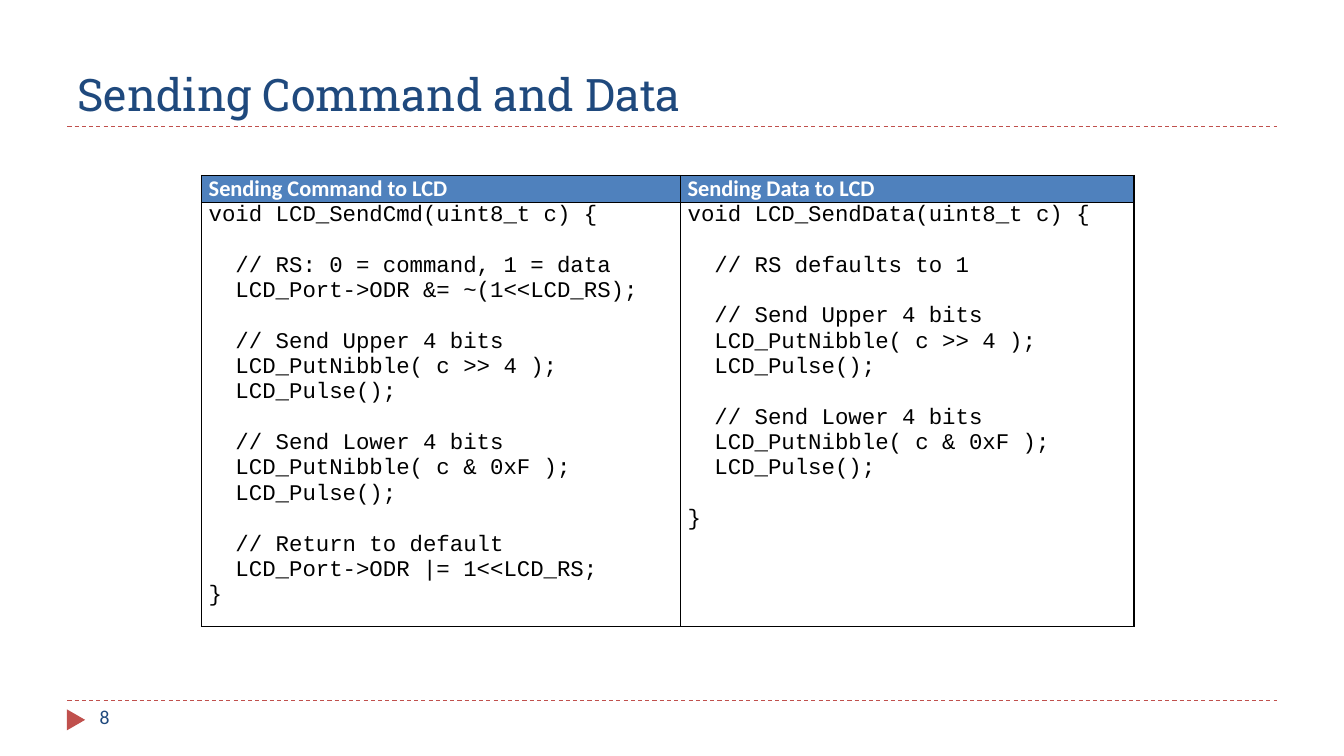
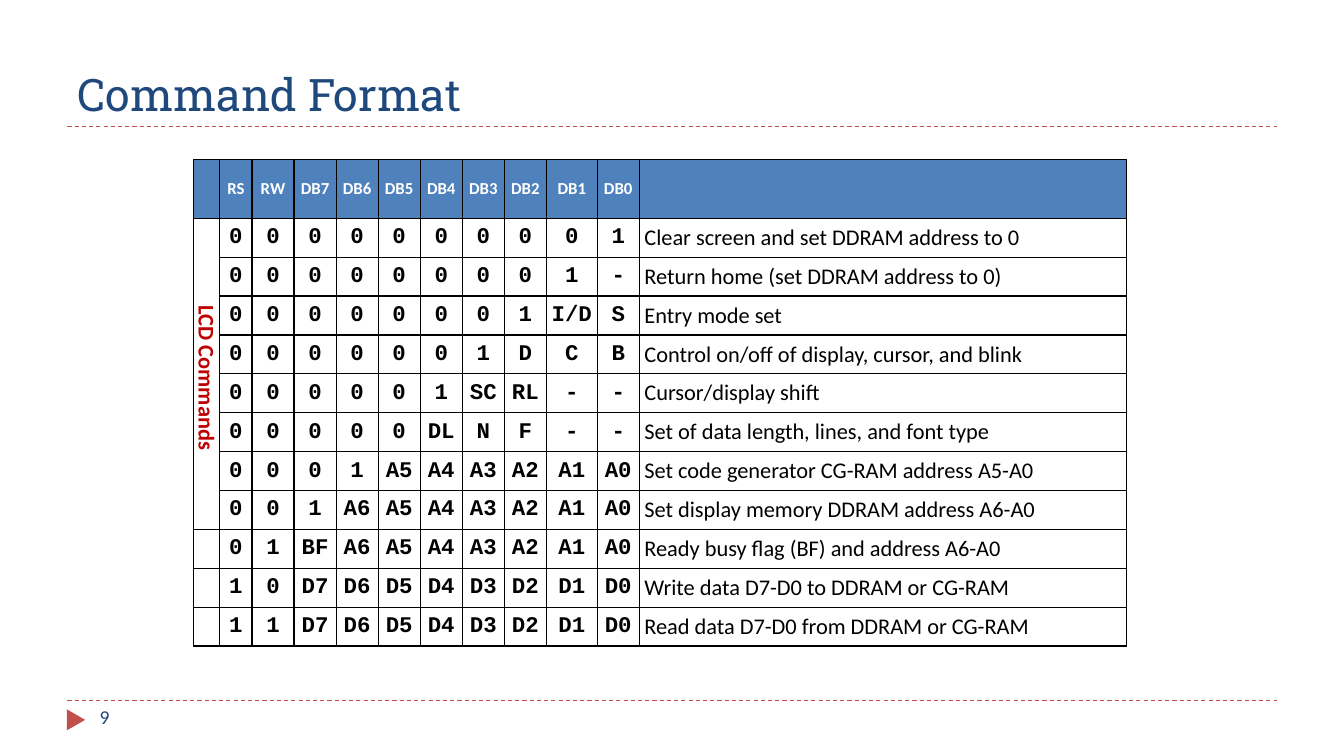
from lxml import etree
from pptx import Presentation
from pptx.dml.color import RGBColor
from pptx.enum.dml import MSO_LINE
from pptx.enum.shapes import MSO_CONNECTOR, MSO_SHAPE
from pptx.enum.text import MSO_ANCHOR, MSO_AUTO_SIZE, PP_ALIGN
from pptx.oxml.ns import qn
from pptx.util import Cm, Pt

STRAIGHT = MSO_CONNECTOR.STRAIGHT
TRIANGLE = MSO_SHAPE.ISOSCELES_TRIANGLE
DASH = MSO_LINE.DASH
TOP, MIDDLE, BOTTOM = MSO_ANCHOR.TOP, MSO_ANCHOR.MIDDLE, MSO_ANCHOR.BOTTOM
LEFT, CENTER, JUSTIFY = PP_ALIGN.LEFT, PP_ALIGN.CENTER, PP_ALIGN.JUSTIFY
NO_AUTOFIT = MSO_AUTO_SIZE.NONE

COLORS = {
    "navy": "1F497D",
    "brick": "C0504D",
    "header": "4F81BD",
    "label": "C00000",
    "white": "FFFFFF",
    "black": "000000",
}
TITLE_FONT, BODY_FONT, CODE_FONT = "Roboto Slab", "Calibri", "Courier New"
TITLE_ONLY = 5
CODE_SIZE = 16
CODE_LINE = 18.12  # height of one code line in points

SEND_COMMAND = """void LCD_SendCmd(uint8_t c) {

  // RS: 0 = command, 1 = data
  LCD_Port->ODR &= ~(1<<LCD_RS);

  // Send Upper 4 bits
  LCD_PutNibble( c >> 4 );
  LCD_Pulse();

  // Send Lower 4 bits
  LCD_PutNibble( c & 0xF );
  LCD_Pulse();

  // Return to default
  LCD_Port->ODR |= 1<<LCD_RS;
}"""

SEND_DATA = """void LCD_SendData(uint8_t c) {

  // RS defaults to 1

  // Send Upper 4 bits
  LCD_PutNibble( c >> 4 );
  LCD_Pulse();

  // Send Lower 4 bits
  LCD_PutNibble( c & 0xF );
  LCD_Pulse();

}"""

BIT_NAMES = "RS RW DB7 DB6 DB5 DB4 DB3 DB2 DB1 DB0"
COMMANDS = [
    ("0 0 0 0 0 0 0 0 0 1", "Clear screen and set DDRAM address to 0"),
    ("0 0 0 0 0 0 0 0 1 -", "Return home (set DDRAM address to 0)"),
    ("0 0 0 0 0 0 0 1 I/D S", "Entry mode set"),
    ("0 0 0 0 0 0 1 D C B", "Control on/off of display, cursor, and blink"),
    ("0 0 0 0 0 1 SC RL - -", "Cursor/display shift"),
    ("0 0 0 0 0 DL N F - -", "Set of data length, lines, and font type"),
    ("0 0 0 1 A5 A4 A3 A2 A1 A0", "Set code generator CG-RAM address A5-A0"),
    ("0 0 1 A6 A5 A4 A3 A2 A1 A0", "Set display memory DDRAM address A6-A0"),
    ("0 1 BF A6 A5 A4 A3 A2 A1 A0", "Ready busy flag (BF) and address A6-A0"),
    ("1 0 D7 D6 D5 D4 D3 D2 D1 D0", "Write data D7-D0 to DDRAM or CG-RAM"),
    ("1 1 D7 D6 D5 D4 D3 D2 D1 D0", "Read data D7-D0 from DDRAM or CG-RAM"),
]
LABELLED_ROWS = 8


def rgb(name):
    return RGBColor.from_string(COLORS[name])


def add_run(paragraph, text, size, font=BODY_FONT, color="black", bold=False):
    run = paragraph.add_run()
    run.text = text
    run.font.name = font
    run.font.size = Pt(size)
    run.font.bold = bold
    run.font.color.rgb = rgb(color)


# Parts that every slide shares
def add_rule(slide, top):
    rule = slide.shapes.add_connector(STRAIGHT, Cm(1.7), Cm(top), Cm(32.18), Cm(top))
    rule.line.color.rgb = rgb("brick")
    rule.line.width = Pt(0.75)
    rule.line.dash_style = DASH
    etree.SubElement(rule._element.spPr, qn("a:effectLst"))


def add_footer(slide, number):
    marker = slide.shapes.add_shape(TRIANGLE, Cm(1.65), Cm(17.91), Cm(0.53), Cm(0.46))
    marker.rotation = 90
    marker.shadow.inherit = False
    marker.fill.solid()
    marker.fill.fore_color.rgb = rgb("brick")
    marker.line.fill.background()

    number_box = slide.shapes.add_textbox(Cm(2.26), Cm(17.65), Cm(7.34), Cm(1.02))
    number_box.text_frame.word_wrap = True
    add_run(number_box.text_frame.paragraphs[0], str(number), 14, color="navy")


def add_titled_slide(presentation, title_text, number):
    slide = presentation.slides.add_slide(presentation.slide_layouts[TITLE_ONLY])
    title = slide.shapes.title
    title.left, title.top, title.width, title.height = Cm(1.7), Cm(0.43), Cm(30.48), Cm(2.74)
    frame = title.text_frame
    frame.auto_size = NO_AUTOFIT
    frame.vertical_anchor = BOTTOM
    frame.paragraphs[0].alignment = LEFT
    add_run(frame.paragraphs[0], title_text, 32, TITLE_FONT, "navy")
    for top in (3.18, 17.65):
        add_rule(slide, top)
    add_footer(slide, number)
    return slide


# Tables
def add_border(cell):
    properties = cell._tc.get_or_add_tcPr()
    for side in ("a:lnL", "a:lnR", "a:lnT", "a:lnB"):
        line = etree.SubElement(properties, qn(side), w=str(Pt(1)))
        fill = etree.SubElement(line, qn("a:solidFill"))
        etree.SubElement(fill, qn("a:srgbClr"), val=COLORS["black"])


def add_grid(slide, left, top, widths, heights):
    """Add a bordered table with a filled header row."""
    shape = slide.shapes.add_table(len(heights), len(widths), Cm(left), Cm(top),
                                   Cm(sum(widths)), Cm(sum(heights)))
    table = shape.table
    table.first_row = False
    table.horz_banding = False
    for column, width in zip(table.columns, widths):
        column.width = Cm(width)
    for index, (row, height) in enumerate(zip(table.rows, heights)):
        row.height = Cm(height)
        for cell in row.cells:
            add_border(cell)
            cell.margin_top = cell.margin_bottom = 0
            if index == 0:
                cell.fill.solid()
                cell.fill.fore_color.rgb = rgb("header")
            else:
                cell.fill.background()
    return table


def fill_cell(cell, text, size, alignment, anchor=MIDDLE, margin=0.08, **style):
    cell.margin_left = cell.margin_right = Cm(margin)
    cell.vertical_anchor = anchor
    paragraph = cell.text_frame.paragraphs[0]
    paragraph.alignment = alignment
    add_run(paragraph, text, size, **style)


def fill_code(cell, code):
    """Write one paragraph per code line; an empty line becomes space before the next."""
    first, *rest = code.splitlines()
    fill_cell(cell, first, CODE_SIZE, JUSTIFY, TOP, 0.18, font=CODE_FONT)
    gap = 0
    for line in rest:
        if not line:
            gap += CODE_LINE
            continue
        paragraph = cell.text_frame.add_paragraph()
        paragraph.alignment = JUSTIFY
        paragraph.space_before = Pt(gap)
        add_run(paragraph, line, CODE_SIZE, CODE_FONT)
        gap = 0


def add_code_table(slide):
    table = add_grid(slide, 5.08, 4.42, [12.07, 11.43], [0.69, 10.23])
    columns = [("Sending Command to LCD", SEND_COMMAND), ("Sending Data to LCD", SEND_DATA)]
    for index, (heading, code) in enumerate(columns):
        fill_cell(table.cell(0, index), heading, 16, JUSTIFY, TOP, 0.18,
                  color="white", bold=True)
        fill_code(table.cell(1, index), code)


def add_command_table(slide):
    widths = [0.66, 0.81] + [1.06] * 7 + [1.28, 1.06, 12.27]
    table = add_grid(slide, 4.88, 4.02, widths, [1.48] + [0.98] * len(COMMANDS))

    # Header and command rows
    for column, name in enumerate(BIT_NAMES.split(), start=1):
        fill_cell(table.cell(0, column), name, 12, CENTER, color="white", bold=True)
    for row, (bits, meaning) in enumerate(COMMANDS, start=1):
        for column, bit in enumerate(bits.split(), start=1):
            fill_cell(table.cell(row, column), bit, 16, CENTER, font=CODE_FONT, bold=True)
        fill_cell(table.cell(row, len(widths) - 1), meaning, 16, JUSTIFY, margin=0.13)

    # Vertical label beside the commands
    label = table.cell(1, 0)
    label.merge(table.cell(LABELLED_ROWS, 0))
    fill_cell(label, "LCD Commands", 16, CENTER, margin=0.13, color="label", bold=True)
    label._tc.get_or_add_tcPr().set("vert", "vert")
    label.text_frame.paragraphs[0]._p.get_or_add_pPr().set("marL", str(Cm(0.2)))


def main():
    presentation = Presentation()
    presentation.slide_width, presentation.slide_height = Cm(33.87), Cm(19.05)
    add_code_table(add_titled_slide(presentation, "Sending Command and Data", 8))
    add_command_table(add_titled_slide(presentation, "Command Format", 9))
    presentation.save("out.pptx")


if __name__ == "__main__":
    main()
